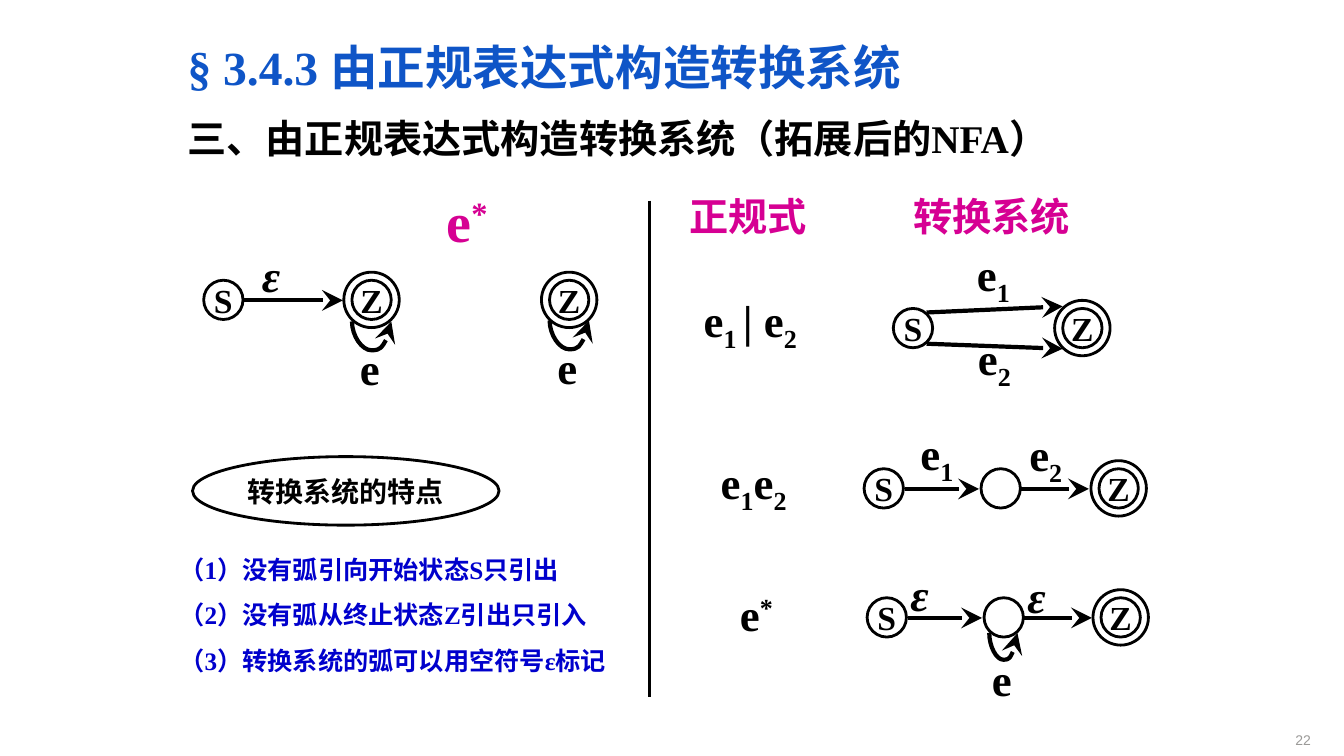
from dataclasses import dataclass

from lxml import etree
from pptx import Presentation
from pptx import util as u
from pptx.dml.color import RGBColor
from pptx.enum import shapes, text
from pptx.oxml import ns

BLACK = RGBColor(0x00, 0x00, 0x00)
BLUE = RGBColor(0x0F, 0x55, 0xC7)
NAVY = RGBColor(0x00, 0x00, 0xCC)
MAGENTA = RGBColor(0xD6, 0x00, 0x93)
GRAY = RGBColor(0x9B, 0x9A, 0x98)
SERIF, SANS = "Times New Roman", "Arial"
STATE_SIZE, RING_SIZE = 0.39, 0.55
BASELINES = {"_": "-25000", "^": "30000"}


@dataclass(frozen=True)
class State:
    left: float
    top: float
    name: str = ""
    final: bool = False


@dataclass(frozen=True)
class Arc:
    x1: float
    y1: float
    x2: float
    y2: float


@dataclass(frozen=True)
class Loop:
    """A curved arc from a state back to itself, hanging below it."""
    left: float
    top: float
    width: float
    bend: int


@dataclass(frozen=True)
class Label:
    """Text in pieces; a leading _ or ^ makes a piece sub- or superscript."""
    left: float
    top: float
    width: float
    pieces: tuple[str, ...]
    size: int = 32
    color: RGBColor = BLACK
    font: str = SERIF
    italic: bool = False


STATES = (
    State(2.02, 2.78, "S"), State(3.49, 2.78, "Z", True), State(5.45, 2.78, "Z", True),
    State(8.86, 3.06, "S"), State(10.54, 3.06, "Z", True),
    State(8.57, 4.65, "S"), State(9.73, 4.65), State(10.9, 4.65, "Z", True),
    State(8.6, 5.93, "S"), State(9.76, 5.93), State(10.92, 5.93, "Z", True),
)
ARCS = (
    Arc(2.42, 2.98, 3.4, 2.98),
    Arc(9.19, 3.1, 10.54, 3.04), Arc(9.19, 3.41, 10.54, 3.46),
    Arc(8.98, 4.85, 9.71, 4.85), Arc(10.13, 4.85, 10.8, 4.85),
    Arc(9.01, 6.13, 9.74, 6.13), Arc(10.16, 6.13, 10.83, 6.13),
)
LOOPS = (
    Loop(3.49, 3.19, 0.39, 182), Loop(5.45, 3.18, 0.39, 182), Loop(9.81, 6.28, 0.28, 169),
)
LABELS = (
    Label(4.33, 1.8, 0.7, ("e", "^*"), 40, MAGENTA),
    Label(6.74, 1.86, 1.53, ("正规式",), 28, MAGENTA, SANS),
    Label(8.96, 1.86, 2.12, ("转换系统",), 28, MAGENTA, SANS),
    Label(6.88, 2.85, 1.19, ("e", "_1 ", "| e", "_2")),
    Label(7.05, 4.46, 1.02, ("e", "_1", "e", "_2")),
    Label(7.24, 5.77, 0.64, ("e", "^*")),
    Label(9.59, 2.4, 0.65, ("e", "_1")), Label(9.6, 3.23, 0.65, ("e", "_2")),
    Label(9.03, 4.17, 0.65, ("e", "_1")), Label(10.11, 4.18, 0.65, ("e", "_2")),
    Label(3.47, 3.33, 0.46, ("e",)), Label(5.43, 3.32, 0.46, ("e",)),
    Label(9.74, 6.42, 0.46, ("e",)),
    Label(2.5, 2.41, 0.71, ("ε",), italic=True),
    Label(8.93, 5.57, 0.71, ("ε",), italic=True),
    Label(10.09, 5.59, 0.71, ("ε",), italic=True),
)
FEATURES = (
    "（1）没有弧引向开始状态S只引出",
    "（2）没有弧从终止状态Z引出只引入",
    "（3）转换系统的弧可以用空符号ε标记",
)


def set_font(paragraph, size: float, color: RGBColor, name: str = SERIF,
             bold: bool = True, italic: bool = False) -> None:
    font = paragraph.font
    font.name, font.size, font.bold, font.italic = name, u.Pt(size), bold, italic
    font.color.rgb = color


def place(shape, left: float, top: float, width: float, height: float) -> None:
    shape.left, shape.top = u.Inches(left), u.Inches(top)
    shape.width, shape.height = u.Inches(width), u.Inches(height)


def fill_placeholder(shape, lines: tuple[str, ...], size: float, color: RGBColor,
                     spacing: float, alignment) -> None:
    """Write unbulleted lines into a title or body placeholder."""
    frame = shape.text_frame
    frame.text = "\n".join(lines)
    frame.word_wrap = True
    frame.auto_size = text.MSO_AUTO_SIZE.NONE
    frame.vertical_anchor = text.MSO_ANCHOR.TOP
    for paragraph in frame.paragraphs:
        properties = paragraph._p.get_or_add_pPr()
        properties.set("marL", "0")
        properties.set("indent", "0")
        etree.SubElement(properties, ns.qn("a:buNone"))
        paragraph.alignment = alignment
        paragraph.line_spacing = spacing
        paragraph.space_before = u.Pt(0)
        set_font(paragraph, size, color)


def add_ellipse(slide, left: float, top: float, width: float, height: float,
                caption: str = "", size: float = 24) -> None:
    shape = slide.shapes.add_shape(shapes.MSO_SHAPE.OVAL, u.Inches(left), u.Inches(top),
                                   u.Inches(width), u.Inches(height))
    shape.shadow.inherit = False
    shape.fill.background()
    shape.line.color.rgb = BLACK
    shape.line.width = u.Pt(2)
    if caption:
        frame = shape.text_frame
        frame.text = caption
        frame.word_wrap = False
        frame.vertical_anchor = text.MSO_ANCHOR.MIDDLE
        frame.paragraphs[0].alignment = text.PP_ALIGN.CENTER
        set_font(frame.paragraphs[0], size, BLACK)


def add_state(slide, state: State) -> None:
    if state.final:
        margin = (RING_SIZE - STATE_SIZE) / 2
        add_ellipse(slide, state.left - margin, state.top - margin, RING_SIZE, RING_SIZE)
    add_ellipse(slide, state.left, state.top, STATE_SIZE, STATE_SIZE, state.name)


def add_line(slide, arc: Arc, width: float = 3, arrow: bool = True,
             kind=shapes.MSO_CONNECTOR.STRAIGHT):
    connector = slide.shapes.add_connector(kind, u.Inches(arc.x1), u.Inches(arc.y1),
                                           u.Inches(arc.x2), u.Inches(arc.y2))
    connector.line.color.rgb = BLACK
    connector.line.width = u.Pt(width)
    properties = connector._element.spPr
    if arrow:
        etree.SubElement(properties.find(ns.qn("a:ln")), ns.qn("a:tailEnd"),
                         type="stealth", w="lg", len="lg")
    etree.SubElement(properties, ns.qn("a:effectLst"))
    return connector


def add_loop(slide, loop: Loop) -> None:
    """Turn a nearly flat curved connector upright so its bend hangs down."""
    middle = loop.left + loop.width / 2
    top = loop.top - loop.width / 2
    connector = add_line(slide, Arc(middle, top, middle, top + loop.width),
                         kind=shapes.MSO_CONNECTOR.CURVE)
    connector.width = u.Emu(1588)
    properties = connector._element.spPr
    transform = properties.find(ns.qn("a:xfrm"))
    transform.set("rot", str(270 * 60000))
    transform.set("flipH", "1")
    adjustments = properties.find(ns.qn("a:prstGeom")).find(ns.qn("a:avLst"))
    etree.SubElement(adjustments, ns.qn("a:gd"), name="adj1",
                     fmla=f"val {loop.bend * 100000}")


def add_label(slide, label: Label) -> None:
    box = slide.shapes.add_textbox(u.Inches(label.left), u.Inches(label.top),
                                   u.Inches(label.width), u.Inches(label.size / 50))
    box.text_frame.word_wrap = True
    paragraph = box.text_frame.paragraphs[0]
    for piece in label.pieces:
        run = paragraph.add_run()
        run.text = piece.lstrip("_^")
        if piece[0] in BASELINES:
            run._r.get_or_add_rPr().set("baseline", BASELINES[piece[0]])
    set_font(paragraph, label.size, label.color, label.font, italic=label.italic)


def add_page_number(slide, number: str) -> None:
    box = slide.shapes.add_textbox(u.Inches(11.89), u.Inches(7.02), u.Inches(1.11), u.Inches(0.4))
    frame = box.text_frame
    frame.word_wrap = True
    frame.margin_left = frame.margin_right = frame.margin_top = frame.margin_bottom = 0
    frame.vertical_anchor = text.MSO_ANCHOR.BOTTOM
    frame.text = number
    frame.paragraphs[0].alignment = text.PP_ALIGN.RIGHT
    set_font(frame.paragraphs[0], 10, GRAY, SANS, bold=False)


def main() -> None:
    presentation = Presentation()
    presentation.slide_width, presentation.slide_height = u.Inches(13.33), u.Inches(7.5)
    slide = presentation.slides.add_slide(presentation.slide_layouts.get_by_name("Two Content"))
    title, heading, features = slide.placeholders
    left = text.PP_ALIGN.LEFT
    place(title, 1.76, 0.21, 9.67, 0.86)
    fill_placeholder(title, ("§ 3.4.3 由正规表达式构造转换系统",), 34, BLUE, 1.2, left)
    place(heading, 1.76, 0.99, 9.67, 0.8)
    fill_placeholder(heading, ("三、由正规表达式构造转换系统（拓展后的NFA）",), 28, BLACK, 1.2, left)
    place(features, 1.68, 5.3, 4.77, 1.45)
    fill_placeholder(features, FEATURES, 18, NAVY, 1.5, text.PP_ALIGN.JUSTIFY)

    add_line(slide, Arc(6.44, 1.99, 6.44, 6.91), width=2, arrow=False)
    add_ellipse(slide, 1.91, 4.53, 3.04, 0.68, "转换系统的特点", 20)
    for state in STATES:
        add_state(slide, state)
    for arc in ARCS:
        add_line(slide, arc)
    for loop in LOOPS:
        add_loop(slide, loop)
    for label in LABELS:
        add_label(slide, label)
    add_page_number(slide, "22")
    presentation.save("out.pptx")


if __name__ == "__main__":
    main()
